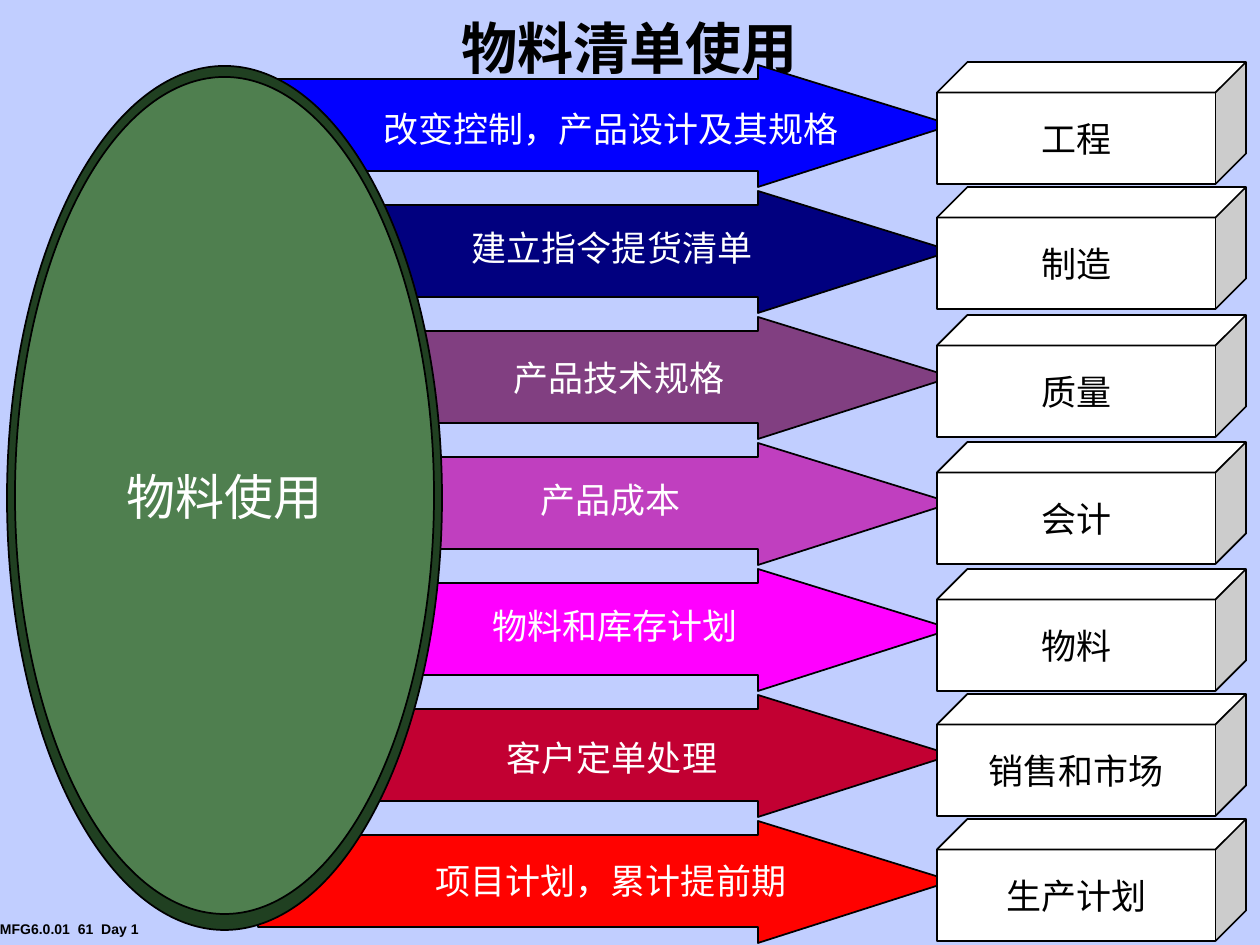
"""Build the slide on the uses of the bill of materials."""
from dataclasses import dataclass

from lxml.etree import SubElement
from pptx import Presentation
from pptx.dml.color import RGBColor
from pptx.enum.shapes import MSO_SHAPE
from pptx.enum.text import MSO_ANCHOR, PP_ALIGN
from pptx.oxml.ns import qn
from pptx.util import Emu, Pt

TITLE = "物料清单使用"
HUB = "物料使用"
FOOTER = "MFG6.0.01  61  Day 1"

# label, label centre x, label top, arrow colour, department, cube top
USES = [
    ("改变控制，产品设计及其规格", 611, 101, "0200FF", "工程", 62),
    ("建立指令提货清单", 612, 220, "01007F", "制造", 187),
    ("产品技术规格", 619, 350, "813F81", "质量", 315),
    ("产品成本", 611, 472, "C03FBF", "会计", 442),
    ("物料和库存计划", 615, 598, "FF00FF", "物料", 569),
    ("客户定单处理", 612, 730, "C20032", "销售和市场", 694),
    ("项目计划，累计提前期", 611, 853, "FF0200", "生产计划", 819),
]

ARROW = [(0, 14), (500, 14), (500, 0), (694, 60), (500, 122), (500, 106), (0, 106)]
ARROW_LEFT, ARROW_TOP, ARROW_PITCH = 258, 65, 126
CHAR_W, LABEL_PAD, LABEL_H = 35, 26, 54
SCALE = 914400 / 126


@dataclass(frozen=True)
class Theme:
    cjk: str = "Noto Sans CJK SC"
    latin: str = "Arial"
    background: str = "C1CEFF"
    ink: str = "000000"
    paper: str = "FFFFFF"
    rim: str = "204021"
    hub: str = "4F7F4F"
    title_size: int = 32
    hub_size: int = 28
    label_size: int = 20
    footer_size: int = 8


THEME = Theme()


def px(n):
    return Emu(round(n * SCALE))


def rgb(color):
    return RGBColor.from_string(color)


def paint(s, color):
    s.shadow.inherit = False
    s.fill.solid()
    s.fill.fore_color.rgb = rgb(color)
    s.line.color.rgb = rgb(THEME.ink)
    s.line.width = Pt(1)


def write(s, text, size, color, font=THEME.cjk, bold=False, anchor=MSO_ANCHOR.MIDDLE, wrap=False):
    tf = s.text_frame
    tf.word_wrap = wrap
    tf.vertical_anchor = anchor
    p = tf.paragraphs[0]
    p.text = text
    p.alignment = PP_ALIGN.CENTER
    p.font.name = font
    p.font.size = Pt(size)
    p.font.bold = bold
    p.font.color.rgb = rgb(color)
    SubElement(p._p.pPr.find(qn("a:defRPr")), qn("a:ea"), typeface=font)
    return p


def add_text(slide, box, *args, **kwargs):
    return write(slide.shapes.add_textbox(*map(px, box)), *args, **kwargs)


def add_solid(slide, kind, box, color):
    s = slide.shapes.add_shape(kind, *map(px, box))
    paint(s, color)
    return s


def add_arrow(slide, top, color):
    points = [(ARROW_LEFT + x, top + y) for x, y in ARROW]
    builder = slide.shapes.build_freeform(*points[0], scale=SCALE)
    builder.add_line_segments(points[1:], close=True)
    paint(builder.convert_to_shape(), color)


def main():
    prs = Presentation()
    prs.slide_width, prs.slide_height = px(1260), px(945)
    slide = prs.slides.add_slide(prs.slide_layouts[6])
    slide.background.fill.solid()
    slide.background.fill.fore_color.rgb = rgb(THEME.background)

    add_text(slide, (-39, 914, 217, 29), FOOTER, THEME.footer_size, THEME.ink,
             font=THEME.latin, bold=True, anchor=MSO_ANCHOR.TOP)
    title = add_text(slide, (0, 8, 1259, 86), TITLE, THEME.title_size, THEME.ink,
                     bold=True, wrap=True)
    title.line_spacing = 0.9

    for i, use in enumerate(USES):
        add_arrow(slide, ARROW_TOP + i * ARROW_PITCH, use[3])

    add_solid(slide, MSO_SHAPE.OVAL, (7, 66, 435, 864), THEME.rim)
    hub = add_solid(slide, MSO_SHAPE.OVAL, (15, 77, 419, 837), THEME.hub)
    write(hub, HUB, THEME.hub_size, THEME.paper)

    for label, center, top, _, department, cube_top in USES:
        width = CHAR_W * len(label) + LABEL_PAD
        add_text(slide, (center - width / 2, top, width, LABEL_H), label,
                 THEME.label_size, THEME.paper, anchor=MSO_ANCHOR.TOP)
        cube = add_solid(slide, MSO_SHAPE.CUBE, (937, cube_top, 309, 122), THEME.paper)
        write(cube, department, THEME.label_size, THEME.ink)

    prs.save("out.pptx")


if __name__ == "__main__":
    main()
